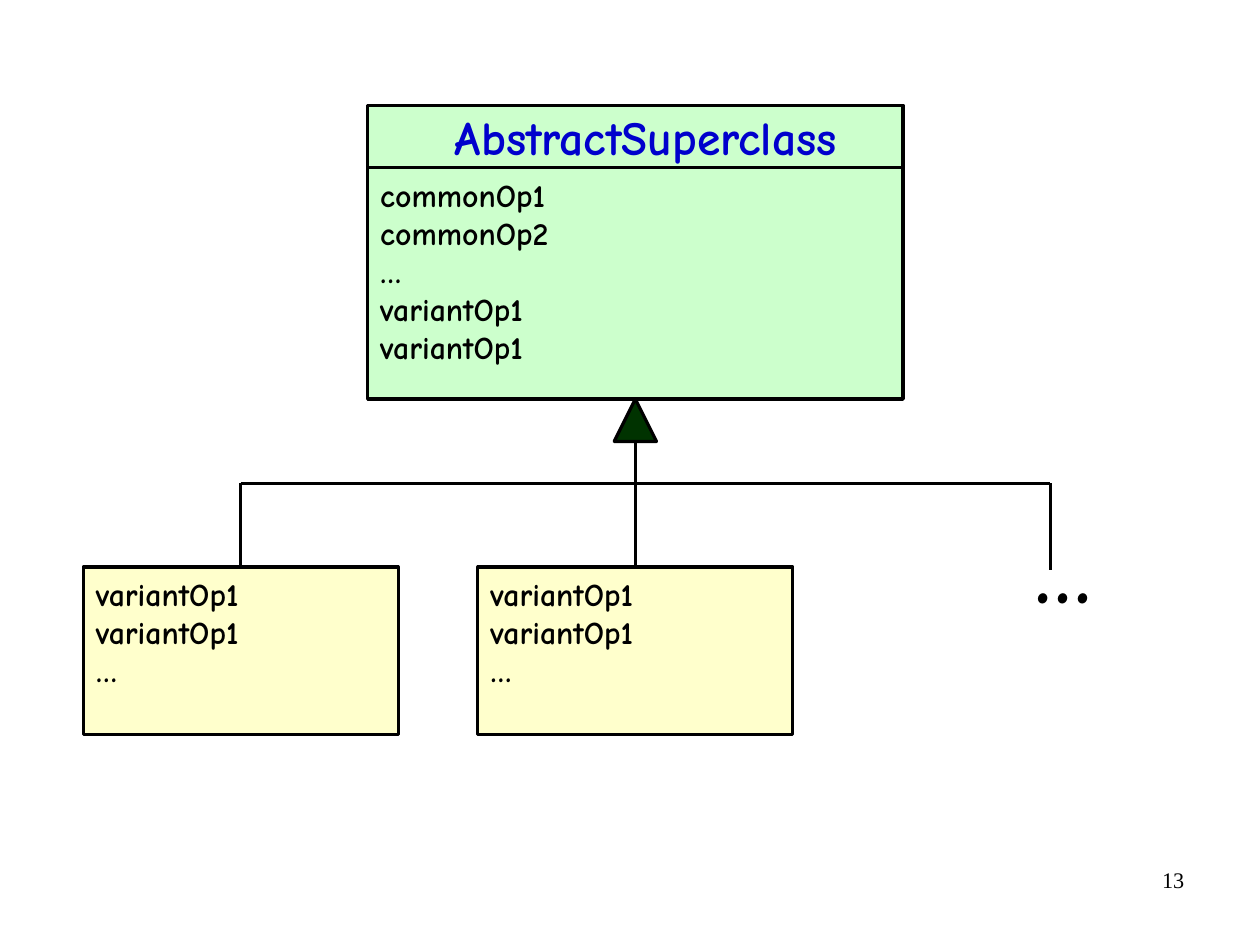
from dataclasses import dataclass

from lxml import etree
from pptx import Presentation
from pptx.dml.color import RGBColor
from pptx.enum.shapes import MSO_CONNECTOR, MSO_SHAPE
from pptx.enum.text import MSO_ANCHOR, PP_ALIGN
from pptx.oxml.ns import qn
from pptx.util import Cm, Pt

RECTANGLE = MSO_SHAPE.RECTANGLE
TRIANGLE = MSO_SHAPE.ISOSCELES_TRIANGLE
STRAIGHT = MSO_CONNECTOR.STRAIGHT
TOP = MSO_ANCHOR.TOP
LEFT = PP_ALIGN.LEFT
RIGHT = PP_ALIGN.RIGHT
SIDE_TOP, SIDE_BOTTOM = 0, 2


@dataclass(frozen=True)
class Theme:
    black: RGBColor = RGBColor(0x00, 0x00, 0x00)
    title: RGBColor = RGBColor(0x00, 0x00, 0xCC)
    superclass: RGBColor = RGBColor(0xCC, 0xFF, 0xCC)
    subclass: RGBColor = RGBColor(0xFF, 0xFF, 0xCC)
    arrowhead: RGBColor = RGBColor(0x00, 0x33, 0x00)
    diagram_font: str = "Comic Neue"
    number_font: str = "Times New Roman"
    operation_size: int = 20
    title_size: int = 30
    ellipsis_size: int = 54
    number_size: int = 14
    line_width: int = 2


class ClassDiagram:
    def __init__(self, slide, theme):
        self.slide = slide
        self.theme = theme

    def set_text(self, shape, lines, size, color, font, bold=True,
                 alignment=LEFT, top_inset=0.15, wrap=True):
        frame = shape.text_frame
        frame.word_wrap = wrap
        frame.vertical_anchor = TOP
        frame.margin_left = frame.margin_right = Cm(0.28)
        frame.margin_top = Cm(top_inset)
        frame.margin_bottom = Cm(0.15)
        frame.text = "\n".join(lines)
        for paragraph in frame.paragraphs:
            paragraph.alignment = alignment
            paragraph.font.size = Pt(size)
            paragraph.font.bold = bold
            paragraph.font.name = font
            paragraph.font.color.rgb = color

    def label(self, text, left, top, width, height, size, color,
              font=None, **options):
        box = self.slide.shapes.add_textbox(Cm(left), Cm(top), Cm(width), Cm(height))
        self.set_text(box, [text], size, color, font or self.theme.diagram_font, **options)

    def outlined(self, kind, left, top, width, height, fill):
        shape = self.slide.shapes.add_shape(kind, Cm(left), Cm(top), Cm(width), Cm(height))
        shape.shadow.inherit = False
        shape.fill.solid()
        shape.fill.fore_color.rgb = fill
        shape.line.color.rgb = self.theme.black
        shape.line.width = Pt(self.theme.line_width)
        return shape

    def class_box(self, operations, left, top, width, height, fill, top_inset):
        box = self.outlined(RECTANGLE, left, top, width, height, fill)
        self.set_text(box, operations, self.theme.operation_size, self.theme.black,
                      self.theme.diagram_font, top_inset=top_inset)
        return box

    def line(self, start_x, start_y, end_x, end_y, parent=None, child=None):
        connector = self.slide.shapes.add_connector(
            STRAIGHT, Cm(start_x), Cm(start_y), Cm(end_x), Cm(end_y))
        connector.line.color.rgb = self.theme.black
        connector.line.width = Pt(self.theme.line_width)
        etree.SubElement(connector._element.spPr, qn("a:effectLst"))
        if parent is not None:
            connector.begin_connect(parent, SIDE_BOTTOM)
        if child is not None:
            connector.end_connect(child, SIDE_TOP)


def main():
    presentation = Presentation()
    presentation.slide_width = Cm(28)
    presentation.slide_height = Cm(21)
    slide = presentation.slides.add_slide(presentation.slide_layouts[6])
    theme = Theme()
    diagram = ClassDiagram(slide, theme)

    super_left, super_top, super_width, super_height = 8.17, 2.34, 11.9, 6.53
    sub_top, sub_width, sub_height = 12.6, 7, 3.73
    center_x = super_left + super_width / 2
    super_bottom = super_top + super_height
    branch_y, divider_y = 10.74, 3.73
    first_x, last_x = 5.35, 23.34
    arrow_size = 0.94

    diagram.label("…", 22.71, 11.35, 1.83, 2.57, theme.ellipsis_size,
                  theme.black, wrap=False)
    superclass = diagram.class_box(
        ["commonOp1", "commonOp2", "…", "variantOp1", "variantOp1"],
        super_left, super_top, super_width, super_height, theme.superclass, 1.56)
    diagram.line(super_left, divider_y, super_left + super_width, divider_y)
    diagram.label("AbstractSuperclass", 9.83, 2.24, 9.12, 1.55,
                  theme.title_size, theme.title, wrap=False)

    for subclass_x in (first_x, center_x):
        subclass = diagram.class_box(
            ["variantOp1", "variantOp1", "…"], subclass_x - sub_width / 2,
            sub_top, sub_width, sub_height, theme.subclass, 0.17)
        diagram.line(subclass_x, branch_y, subclass_x, sub_top, child=subclass)
    diagram.line(last_x, branch_y, last_x, 12.67)
    diagram.line(first_x, branch_y, last_x, branch_y)
    diagram.line(center_x, super_bottom, center_x, branch_y, parent=superclass)
    diagram.outlined(TRIANGLE, center_x - arrow_size / 2, super_bottom,
                     arrow_size, arrow_size, theme.arrowhead)

    diagram.label("13", 20.07, 19.13, 6.53, 1.45, theme.number_size, theme.black,
                  theme.number_font, bold=False, alignment=RIGHT, top_inset=0.13)
    presentation.save("out.pptx")


if __name__ == "__main__":
    main()
